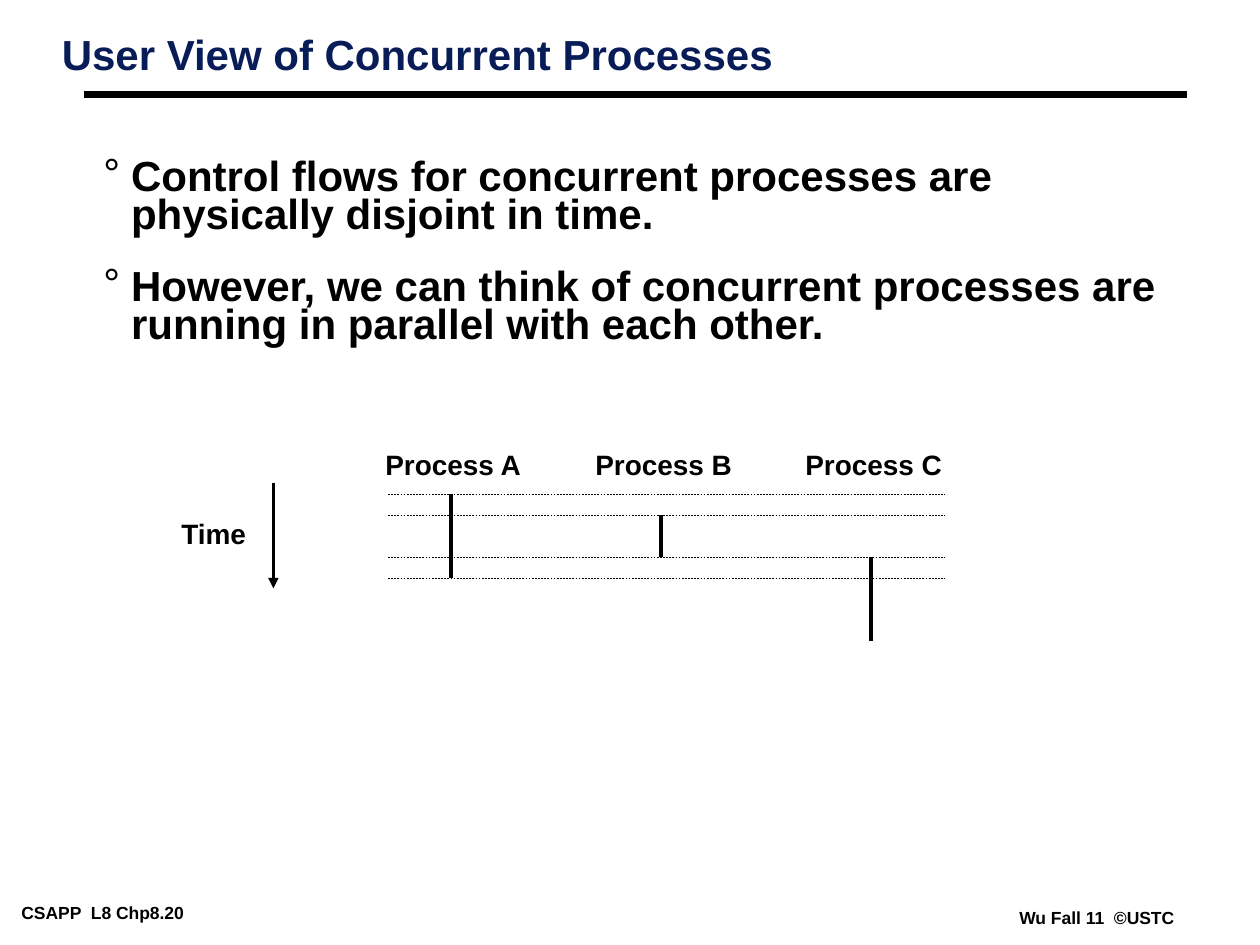
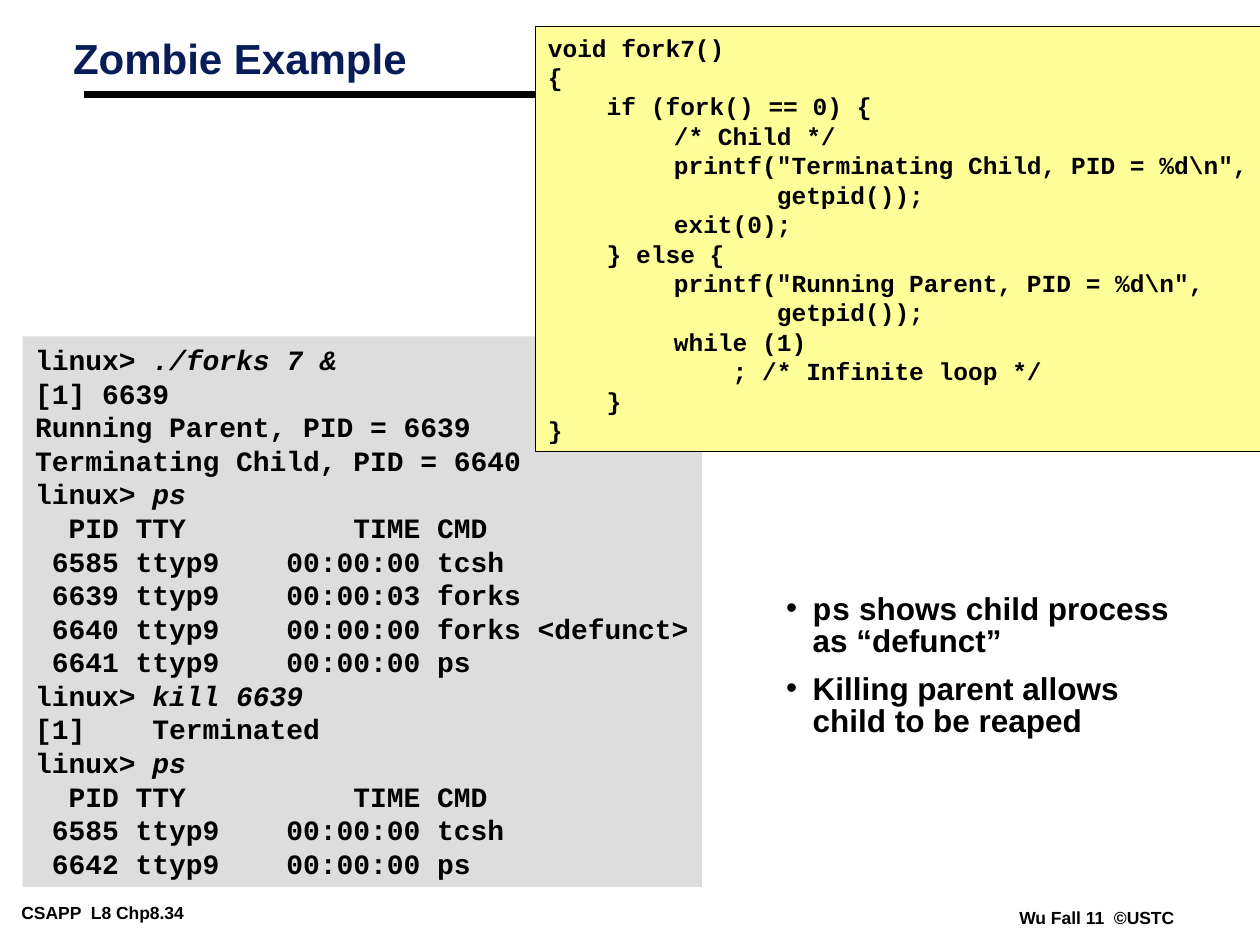
from lxml.etree import SubElement
from pptx import Presentation
from pptx.dml.color import RGBColor
from pptx.enum.dml import MSO_LINE
from pptx.enum.shapes import MSO_CONNECTOR, MSO_SHAPE
from pptx.enum.text import MSO_ANCHOR, PP_ALIGN
from pptx.oxml.ns import qn
from pptx.util import Inches, Pt

# Shared look
BLACK = RGBColor(0x00, 0x00, 0x00)
NAVY = RGBColor(0x08, 0x1D, 0x58)
GRAY = RGBColor(0xDD, 0xDD, 0xDD)
YELLOW = RGBColor(0xFF, 0xFF, 0x99)
SANS, MONO = "Arial", "Courier New"
TIGHT, ROOMY = (0.07, 0.03), (0.1, 0.05)
COPYRIGHT = "Wu Fall 11  ©USTC"

# Content of the concurrency slide
FLOW_POINTS = [
    [("Control flows for concurrent processes are physically disjoint in time.", SANS)],
    [("However, we can think of concurrent processes are running in parallel "
      "with each other.", SANS)],
]
# Process name and the time steps at which its bursts start
PROCESSES = [("Process A", (0, 2)), ("Process B", (1,)), ("Process C", (3, 5))]
BURST_STEPS = 2
SWITCH_STEPS = (0, 1, 3, 4)

# Content of the zombie slide: shell lines are (plain part, typed command)
SHELL_LINES = [
    ("linux> ", "./forks 7 &"),
    ("[1] 6639", ""),
    ("Running Parent, PID = 6639", ""),
    ("Terminating Child, PID = 6640", ""),
    ("linux> ", "ps"),
    ("  PID TTY          TIME CMD", ""),
    (" 6585 ttyp9    00:00:00 tcsh", ""),
    (" 6639 ttyp9    00:00:03 forks", ""),
    (" 6640 ttyp9    00:00:00 forks <defunct>", ""),
    (" 6641 ttyp9    00:00:00 ps", ""),
    ("linux>", " kill 6639"),
    ("[1]    Terminated", ""),
    ("linux> ", "ps"),
    ("  PID TTY          TIME CMD", ""),
    (" 6585 ttyp9    00:00:00 tcsh", ""),
    (" 6642 ttyp9    00:00:00 ps", ""),
]
FORK_CODE = r'''void fork7()
{
    if (fork() == 0) {
<TAB>/* Child */
<TAB>printf("Terminating Child, PID = %d\n",
<TAB>       getpid());
<TAB>exit(0);
    } else {
<TAB>printf("Running Parent, PID = %d\n",
<TAB>       getpid());
<TAB>while (1)
<TAB>    ; /* Infinite loop */
    }
}'''.replace("<TAB>", "\t")
ZOMBIE_POINTS = [
    [("ps", MONO), (" shows child process as “defunct”", SANS)],
    [("Killing parent allows child to be reaped", SANS)],
]


# Text helpers
def add_run(paragraph, text, size, font=SANS, color=BLACK, italic=False):
    run = paragraph.add_run()
    run.text = text
    run.font.name, run.font.size = font, Pt(size)
    run.font.bold, run.font.italic = True, italic
    run.font.color.rgb = color


def prepare_frame(shape, insets, wrap):
    frame = shape.text_frame
    frame.word_wrap = wrap
    frame.vertical_anchor = MSO_ANCHOR.TOP
    frame.margin_left = frame.margin_right = Inches(insets[0])
    frame.margin_top = frame.margin_bottom = Inches(insets[1])
    return frame


def next_paragraph(frame, index):
    paragraph = frame.add_paragraph() if index else frame.paragraphs[0]
    paragraph.alignment = PP_ALIGN.LEFT
    return paragraph


def add_label(slide, box, text, size, insets=ROOMY, wrap=False, color=BLACK, spacing=1.0):
    shape = slide.shapes.add_textbox(*map(Inches, box))
    paragraph = next_paragraph(prepare_frame(shape, insets, wrap), 0)
    paragraph.line_spacing = spacing
    add_run(paragraph, text, size, color=color)


def add_bullets(slide, box, points, size, bullet, margin, indent, spacing, gap):
    frame = prepare_frame(slide.shapes.add_textbox(*map(Inches, box)), TIGHT, True)
    for index, runs in enumerate(points):
        paragraph = next_paragraph(frame, index)
        paragraph.line_spacing = spacing
        if index:
            paragraph.space_before = Pt(gap)
        properties = paragraph._p.get_or_add_pPr()
        properties.set("marL", str(Inches(margin)))
        properties.set("indent", str(Inches(-indent)))
        SubElement(properties, qn("a:buFont"), typeface=SANS)
        SubElement(properties, qn("a:buChar"), char=bullet)
        for text, font in runs:
            add_run(paragraph, text, size, font)


def add_listing(slide, box, lines, size, fill, border=None):
    shape = slide.shapes.add_shape(MSO_SHAPE.RECTANGLE, *map(Inches, box))
    shape.shadow.inherit = False
    shape.fill.solid()
    shape.fill.fore_color.rgb = fill
    if border:
        shape.line.color.rgb, shape.line.width = BLACK, Pt(border)
    else:
        shape.line.fill.background()
    frame = prepare_frame(shape, ROOMY, False)
    for index, (plain, command) in enumerate(lines):
        paragraph = next_paragraph(frame, index)
        if "\t" in plain:
            tabs = SubElement(paragraph._p.get_or_add_pPr(), qn("a:tabLst"))
            SubElement(tabs, qn("a:tab"), pos=str(Inches(1)), algn="l")
        add_run(paragraph, plain, size, MONO)
        if command:
            add_run(paragraph, command, size, MONO, italic=True)


def add_line(slide, start, end, width, dashed=False, arrow=False):
    line = slide.shapes.add_connector(
        MSO_CONNECTOR.STRAIGHT, *map(Inches, (*start, *end)))
    line.line.color.rgb, line.line.width = BLACK, Pt(width)
    if dashed:
        line.line.dash_style = MSO_LINE.DASH
    if arrow:
        SubElement(line.line._get_or_add_ln(), qn("a:tailEnd"), type="triangle")
    SubElement(line._element.spPr, qn("a:effectLst"))


# Parts every slide shares
def add_base(presentation, page):
    slide = presentation.slides.add_slide(presentation.slide_layouts[6])
    add_label(slide, (0.1, 7.13, 1.95, 0.22), f"CSAPP  L8 Chp8.{page}", 10, TIGHT, True)
    add_label(slide, (8.02, 7.17, 1.4, 0.22), COPYRIGHT, 10, TIGHT, True)
    add_line(slide, (0.67, 0.75), (9.42, 0.75), 4.5)
    return slide


def add_title(slide, box, text):
    add_label(slide, box, text, 24, TIGHT, True, NAVY, 0.87)


def build_concurrency(presentation):
    slide = add_base(presentation, 20)
    add_title(slide, (0.42, 0.25, 9.25, 0.63), "User View of Concurrent Processes")
    add_bullets(slide, (0.75, 1.25, 8.58, 2.42), FLOW_POINTS, 24, "°",
                0.22, 0.22, 0.75, 19.5)

    # Time axis
    add_line(slide, (2.17, 3.83), (2.17, 4.67), 2, arrow=True)
    add_label(slide, (1.34, 4.05, 0.75, 0.37), "Time", 16, wrap=True)

    # Process columns on a grid of sixth-inch time steps
    def step_y(step):
        return 3.92 + step / 6

    for column, (name, starts) in enumerate(PROCESSES):
        x = 3.58 + column * 5 / 3
        add_label(slide, (x - 0.62, 3.5, 1.35, 0.37), name, 16, wrap=True)
        for start in starts:
            add_line(slide, (x, step_y(start)), (x, step_y(start + BURST_STEPS)), 2)
    for step in SWITCH_STEPS:
        add_line(slide, (3.08, step_y(step)), (7.5, step_y(step)), 0.25, dashed=True)


def build_zombie(presentation):
    slide = add_base(presentation, 34)
    add_listing(slide, (0.18, 2.67, 5.39, 4.37), SHELL_LINES, 16, GRAY)
    add_title(slide, (0.51, 0.28, 3.85, 0.4), "Zombie Example")
    add_bullets(slide, (5.63, 4.69, 3.77, 1.2), ZOMBIE_POINTS, 18, "•",
                0.75, 0.21, 0.85, 9)
    code_lines = [(line, "") for line in FORK_CODE.split("\n")]
    add_listing(slide, (4.25, 0.21, 5.76, 3.37), code_lines, 14, YELLOW, 0.25)


def main():
    presentation = Presentation()
    presentation.slide_width, presentation.slide_height = Inches(10), Inches(7.5)
    build_concurrency(presentation)
    build_zombie(presentation)
    presentation.save("out.pptx")


if __name__ == "__main__":
    main()
